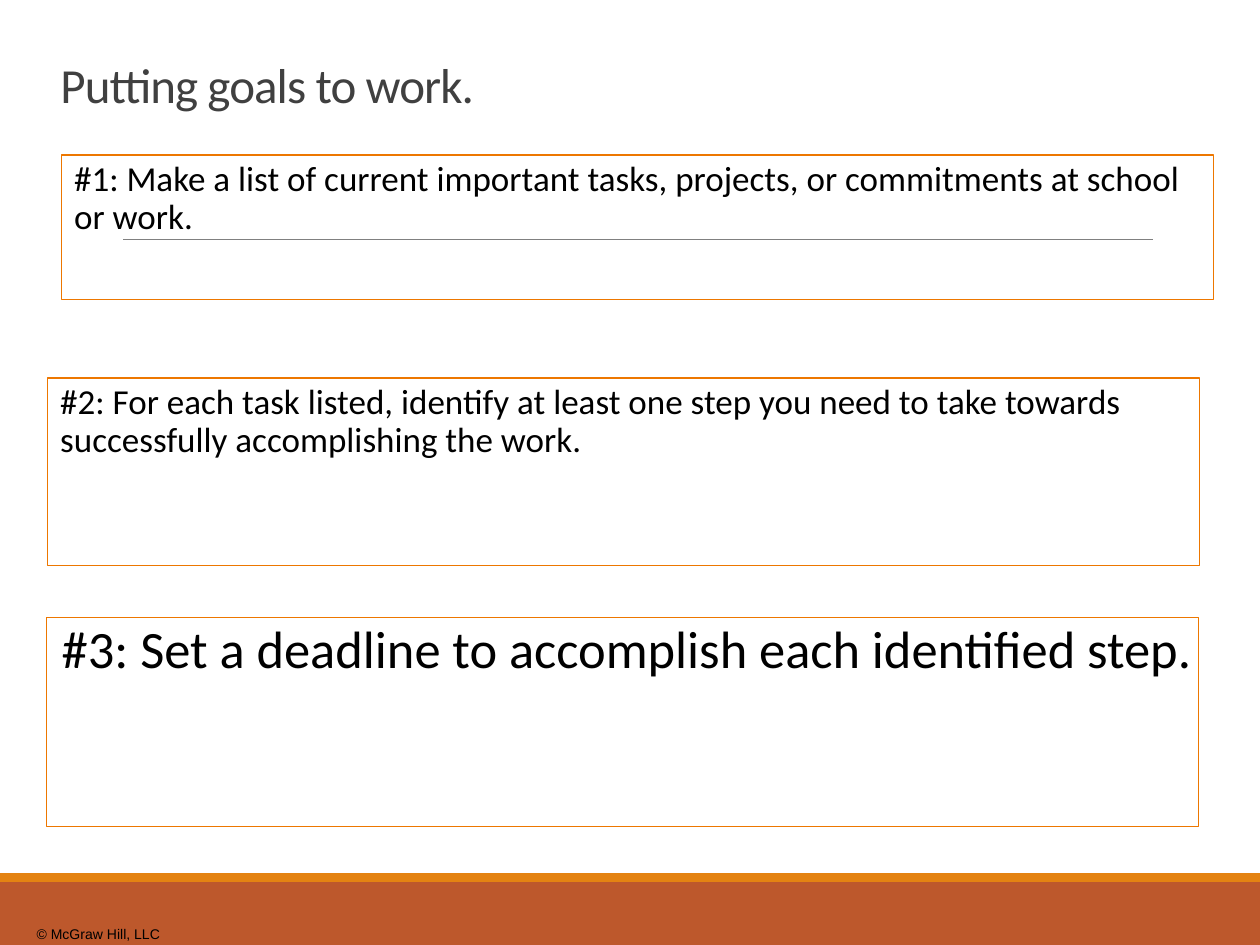
from pptx import Presentation
from pptx.dml.color import RGBColor
from pptx.enum.shapes import MSO_CONNECTOR, MSO_SHAPE
from pptx.enum.text import MSO_ANCHOR, MSO_AUTO_SIZE, PP_ALIGN
from pptx.oxml.ns import qn
from pptx.util import Inches, Pt
from lxml import etree

RECT = MSO_SHAPE.RECTANGLE
LINE = MSO_CONNECTOR.STRAIGHT
TOP, MIDDLE = MSO_ANCHOR.TOP, MSO_ANCHOR.MIDDLE
LEFT = PP_ALIGN.LEFT
FIXED = MSO_AUTO_SIZE.NONE

WIDTH, HEIGHT = 10, 7.5
COLS, ROWS = 100, 75
RUST, AMBER, ORANGE = "BD582C", "E48312", "ED7700"
BLACK, DARK, GREY = "000000", "404040", "808080"


def paint(form, color):
    """Give a fill, line or font one solid colour."""
    if hasattr(form, "solid"):
        form.solid()
        form = form.fore_color
    else:
        form = form.color
    form.rgb = RGBColor.from_string(color)


def grid(x, y, w, h):
    """Turn columns and rows into slide lengths."""
    col, row = Inches(WIDTH) / COLS, Inches(HEIGHT) / ROWS
    return [round(n) for n in (x * col, y * row, w * col, h * row)]


class Page:
    font = "Calibri"

    def __init__(self, deck):
        self.slide = deck.slides.add_slide(deck.slide_layouts[5])
        self.shapes = self.slide.shapes

    def label(self, shape, text, size, color=BLACK, font=font, anchor=TOP,
              inset=0.1, wrap=True, lead=1.0):
        """Put one formatted run of text in a shape."""
        frame = shape.text_frame
        frame.auto_size = FIXED
        frame.word_wrap = wrap
        frame.vertical_anchor = anchor
        frame.margin_left = Inches(inset)
        frame.margin_top = frame.margin_bottom = Inches(0.05)
        frame.margin_right = 0
        line = frame.paragraphs[0]
        line.alignment = LEFT
        line.line_spacing = lead
        run = line.add_run()
        run.text = text
        run.font.name, run.font.size = font, Pt(size)
        paint(run.font, color)
        return run

    def title(self, text, place):
        shape = self.shapes.title
        shape.left, shape.top, shape.width, shape.height = grid(*place)
        run = self.label(shape, text, 28, DARK, anchor=MIDDLE, lead=0.85)
        run.font._element.set("spc", "-50")

    def band(self, y, h, color):
        shape = self.shapes.add_shape(RECT, *grid(0, y, COLS, h))
        shape.shadow.inherit = False
        paint(shape.fill, color)
        shape.line.fill.background()

    def rule(self, x, y, w):
        left, top, width, _ = grid(x, y, w, 0)
        line = self.shapes.add_connector(LINE, left, top, left + width, top)
        line.line.width = Pt(0.5)
        paint(line.line, GREY)
        etree.SubElement(line._element.spPr, qn("a:effectLst"))

    def box(self, place, text, size, inset):
        shape = self.shapes.add_shape(RECT, *grid(*place))
        shape.shadow.inherit = False
        shape.fill.background()
        shape.line.width = Pt(0.75)
        paint(shape.line, ORANGE)
        self.label(shape, text, size, inset=inset, lead=0.9)

    def note(self, place, text):
        shape = self.shapes.add_textbox(*grid(*place))
        self.label(shape, text, 8, font="Arial", anchor=MIDDLE,
                   inset=0.05, wrap=False)


def main():
    deck = Presentation()
    deck.slide_width, deck.slide_height = Inches(WIDTH), Inches(HEIGHT)
    page = Page(deck)
    page.band(70, 5, RUST)
    page.band(69.3, 0.7, AMBER)
    page.rule(9.8, 19, 81.7)
    page.note((2.4, 72.9, 13.5, 2.4), "© McGraw Hill, LLC")
    page.title("Putting goals to work.", (3.8, 3.3, 92.5, 7.4))
    steps = [
        (4.9, 12.3, 11.5, 20, 0.1, "#1: Make a list of current important "
         "tasks, projects, or commitments at school or work."),
        (3.8, 30, 14.9, 20, 0.1, "#2: For each task listed, identify at least "
         "one step you need to take towards successfully accomplishing "
         "the work."),
        (3.7, 49, 16.6, 30, 0.12, "#3: Set a deadline to accomplish each "
         "identified step."),
    ]
    for x, y, h, size, inset, text in steps:
        page.box((x, y, 91.4, h), text, size, inset)
    deck.save("out.pptx")


if __name__ == "__main__":
    main()
